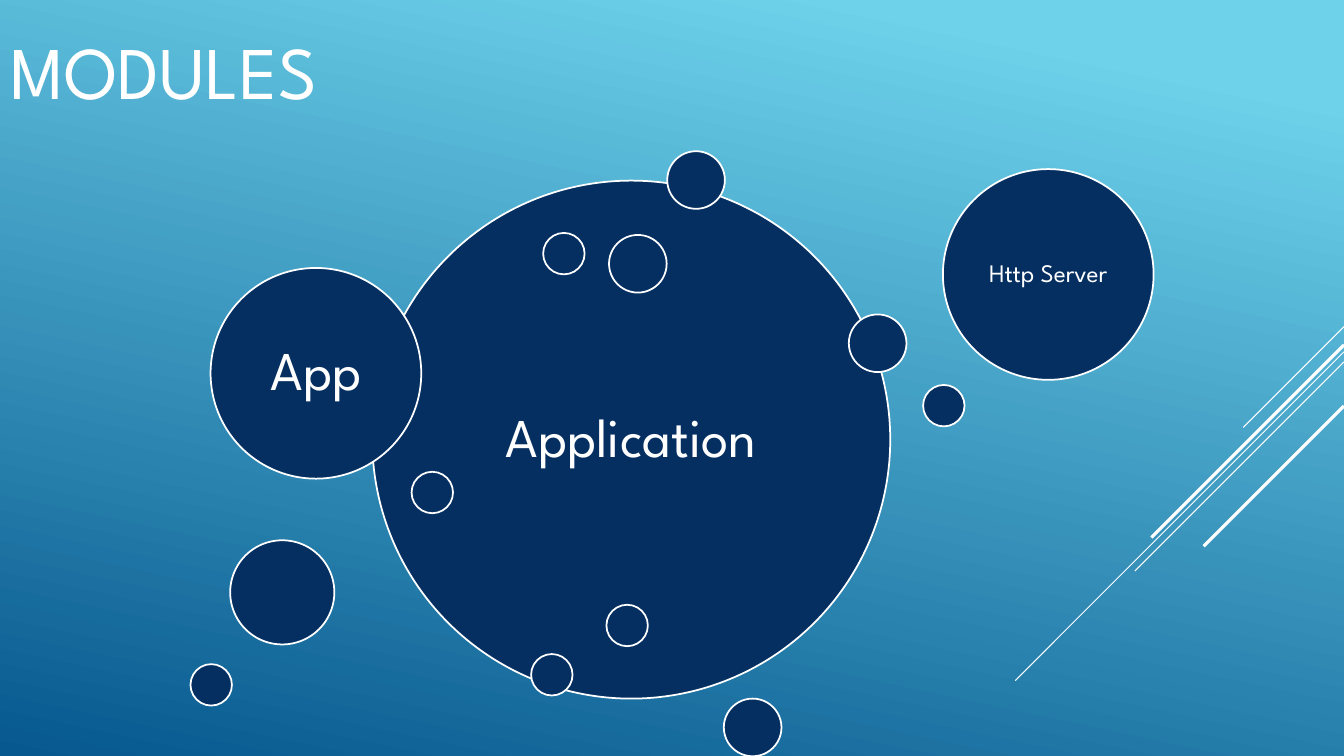
from dataclasses import dataclass

from lxml import etree
from pptx import Presentation
from pptx.dml.color import RGBColor
from pptx.enum.shapes import MSO_CONNECTOR, MSO_SHAPE
from pptx.enum.text import MSO_ANCHOR, MSO_AUTO_SIZE, PP_ALIGN
from pptx.oxml.ns import qn
from pptx.slide import Slide
from pptx.text.text import TextFrame
from pptx.util import Pt

OVAL = MSO_SHAPE.OVAL
STRAIGHT = MSO_CONNECTOR.STRAIGHT
MIDDLE = MSO_ANCHOR.MIDDLE
NO_AUTOFIT = MSO_AUTO_SIZE.NONE
LEFT = PP_ALIGN.LEFT
CENTER = PP_ALIGN.CENTER

PAGE_WIDTH = 960
PAGE_HEIGHT = 540


@dataclass(frozen=True)
class Theme:
    font: str = "League Spartan"
    white: RGBColor = RGBColor(0xFF, 0xFF, 0xFF)
    navy: RGBColor = RGBColor(0x05, 0x2F, 0x61)
    sky: RGBColor = RGBColor(0x6E, 0xD2, 0xEB)
    ocean: RGBColor = RGBColor(0x06, 0x58, 0x8E)
    title_size: float = 53
    module_size: float = 39
    server_size: float = 18
    outline: float = 1.25
    thin: float = 0.75
    thick: float = 2.25


THEME = Theme()

HUGE, LARGE, MEDIUM, SMALL, TINY = 370, 150.5, 74.4, 41.2, 29.6


@dataclass(frozen=True)
class Bubble:
    left: float
    top: float
    diameter: float
    label: str = ""
    text_size: float = THEME.module_size
    inset: float = 11.5


@dataclass(frozen=True)
class Streak:
    top: float
    run: float
    weight: float


BUBBLES = [
    Bubble(265.9, 129, HUGE, "Application"),
    Bubble(476.6, 108, SMALL),
    Bubble(379.4, 467.2, TINY),
    Bubble(659.4, 275, TINY),
    Bubble(517, 499, SMALL),
    Bubble(388, 166.4, TINY),
    Bubble(294, 337, TINY),
    Bubble(150.4, 191.4, LARGE, "App"),
    Bubble(435, 167.8, SMALL),
    Bubble(164.4, 385.9, MEDIUM),
    Bubble(673.5, 120.8, LARGE, "Http Server", THEME.server_size, 5),
    Bubble(606.3, 224.6, SMALL),
    Bubble(136.1, 474.4, TINY),
    Bubble(433.2, 432, TINY),
]

STREAKS = [
    Streak(233.3, 72, THEME.thin),
    Streak(251.3, 234.8, THEME.thin),
    Streak(258.6, 149.3, THEME.thin),
    Streak(246.4, 137.5, THEME.thick),
    Streak(290, 100.2, THEME.thick),
]


def paint_background(page: Slide) -> None:
    fill = page.background.fill
    fill.gradient()
    fill.gradient_angle = 360 - 102
    stops = ((0.1, THEME.sky), (1.0, THEME.ocean))
    for stop, (position, color) in zip(fill.gradient_stops, stops):
        stop.color.rgb = color
        stop.position = position


def write_text(frame: TextFrame, text: str, size: float, align: PP_ALIGN) -> None:
    frame.word_wrap = True
    frame.auto_size = NO_AUTOFIT
    frame.vertical_anchor = MIDDLE
    para = frame.paragraphs[0]
    para.alignment = align
    para.line_spacing = 0.9
    span = para.add_run()
    span.text = text
    span.font.name = THEME.font
    span.font.size = Pt(size)
    span.font.color.rgb = THEME.white


def draw_streak(page: Slide, streak: Streak) -> None:
    line = page.shapes.add_connector(
        STRAIGHT,
        Pt(PAGE_WIDTH),
        Pt(streak.top),
        Pt(PAGE_WIDTH - streak.run),
        Pt(streak.top + streak.run),
    )
    line.line.color.rgb = THEME.white
    line.line.width = Pt(streak.weight)
    etree.SubElement(line._element.spPr, qn("a:effectLst"))


def draw_title(page: Slide) -> None:
    title = page.shapes.title
    title.left, title.top, title.width, title.height = Pt(0), Pt(0), Pt(288), Pt(108)
    write_text(title.text_frame, "MODULES", THEME.title_size, LEFT)


def draw_bubble(page: Slide, bubble: Bubble) -> None:
    circle = page.shapes.add_shape(
        OVAL, Pt(bubble.left), Pt(bubble.top), Pt(bubble.diameter), Pt(bubble.diameter)
    )
    circle.shadow.inherit = False
    circle.fill.solid()
    circle.fill.fore_color.rgb = THEME.navy
    circle.line.color.rgb = THEME.white
    circle.line.width = Pt(THEME.outline)
    if bubble.label:
        frame = circle.text_frame
        frame.margin_left = frame.margin_right = Pt(bubble.inset)
        frame.margin_top = frame.margin_bottom = Pt(bubble.inset)
        write_text(frame, bubble.label, bubble.text_size, CENTER)


def main() -> None:
    deck = Presentation()
    deck.slide_width = Pt(PAGE_WIDTH)
    deck.slide_height = Pt(PAGE_HEIGHT)
    page = deck.slides.add_slide(deck.slide_layouts.get_by_name("Title Only"))
    paint_background(page)
    for streak in STREAKS:
        draw_streak(page, streak)
    draw_title(page)
    for bubble in BUBBLES:
        draw_bubble(page, bubble)
    deck.save("out.pptx")


if __name__ == "__main__":
    main()
